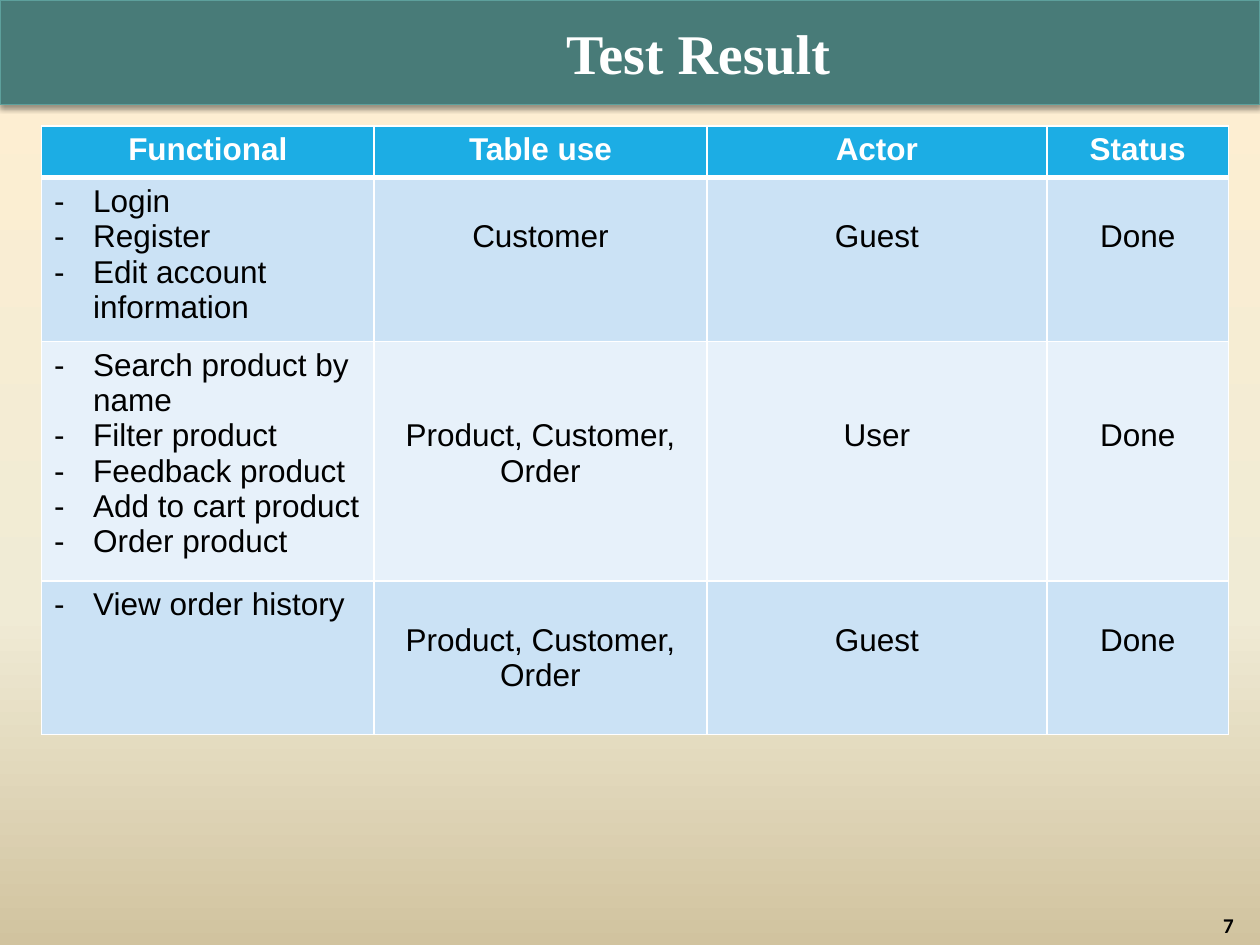
from lxml import etree
from pptx import Presentation
from pptx import util as u
from pptx.dml.color import RGBColor
from pptx.enum import shapes, text
from pptx.oxml import ns, parse_xml

A = ns.nsdecls("a")
COLORS = {"banner": "487B78", "edge": "5DA09C", "white": "FFFFFF", "black": "000000",
          "header": "1CADE4", "band": "CBE2F5", "light": "E7F1FA"}
BACKGROUND = [(0, "FFEFD1"), (65, "F0EBD5"), (100, "D1C39F")]
LINE = 0.28


def rgb(name):
    return RGBColor.from_string(COLORS[name])


def write(tf, lines, size=18, font="Arial", color="black", bold=False,
          align=text.PP_ALIGN.CENTER, bullet=None):
    tf.word_wrap = True
    for i, line in enumerate(lines):
        p = tf.paragraphs[0] if i == 0 else tf.add_paragraph()
        p.alignment = align
        r = p.add_run()
        r.text = line
        r.font.size, r.font.name, r.font.bold = u.Pt(size), font, bold
        r.font.color.rgb = rgb(color)
        if bullet:
            pPr = p._p.get_or_add_pPr()
            indent = u.Inches(0.31)
            pPr.set("marL", str(indent))
            pPr.set("indent", str(-indent))
            pPr.append(parse_xml(f'<a:buFont {A} typeface="{font}"/>'))
            pPr.append(parse_xml(f'<a:buChar {A} char="{bullet}"/>'))


class Deck:
    """Holds the style and the current slide."""

    def __init__(self, width, height):
        self.prs = Presentation()
        self.prs.slide_width, self.prs.slide_height = u.Inches(width), u.Inches(height)
        self.s = self.prs.slides.add_slide(self.prs.slide_layouts[6])

    def background(self, stops):
        fill = self.s.background.fill
        fill.gradient()
        fill.gradient_angle = 270
        gs_list = self.s.element.find(".//" + ns.qn("a:gsLst"))
        for gs in list(gs_list):
            gs_list.remove(gs)
        for pos, color in stops:
            gs = etree.SubElement(gs_list, ns.qn("a:gs"), pos=str(pos * 1000))
            etree.SubElement(gs, ns.qn("a:srgbClr"), val=color)

    def banner(self, *box):
        sp = self.s.shapes.add_shape(shapes.MSO_SHAPE.RECTANGLE, *map(u.Inches, box))
        sp.fill.solid()
        sp.fill.fore_color.rgb = rgb("banner")
        sp.line.color.rgb = rgb("edge")
        sp.line.width = u.Pt(0.75)
        sp._element.spPr.append(parse_xml(
            f'<a:effectLst {A}><a:outerShdw blurRad="{u.Pt(3.1)}" dist="{u.Pt(1.6)}" '
            f'dir="5400000" rotWithShape="0"><a:srgbClr val="{COLORS["black"]}">'
            '<a:alpha val="38000"/></a:srgbClr></a:outerShdw></a:effectLst>'))

    def label(self, line, *box, inset=0.1, **fmt):
        tf = self.s.shapes.add_textbox(*map(u.Inches, box)).text_frame
        tf.vertical_anchor = text.MSO_ANCHOR.MIDDLE
        tf.margin_left = u.Inches(inset)
        write(tf, [line], **fmt)

    def cell(self, cell, lines, fill, top=1, bottom=1, drop=0, **fmt):
        cell.margin_top = u.Inches(0.05 + drop * LINE)
        write(cell.text_frame, lines, **fmt)
        tcPr = cell._tc.get_or_add_tcPr()
        for side, width in zip("LRTB", (1, 1, top, bottom)):
            tcPr.append(parse_xml(
                f'<a:ln{side} {A} w="{u.Pt(width)}"><a:solidFill>'
                f'<a:srgbClr val="{COLORS["white"]}"/></a:solidFill></a:ln{side}>'))
        cell.fill.solid()
        cell.fill.fore_color.rgb = rgb(fill)

    def table(self, left, top, widths, heights, header, rows):
        box = map(u.Inches, (left, top, sum(widths), sum(heights)))
        table = self.s.shapes.add_table(len(heights), len(widths), *box).table
        for col, width in zip(table.columns, widths):
            col.width = u.Inches(width)
        for row, height in zip(table.rows, heights):
            row.height = u.Inches(height)
        for c, title in enumerate(header):
            self.cell(table.cell(0, c), [title], "header", bottom=3, color="white", bold=True)
        for i, (drop, functions, *values) in enumerate(rows, 1):
            style = {"fill": "band" if i % 2 else "light", "top": 3 if i == 1 else 1}
            self.cell(table.cell(i, 0), functions, bullet="-",
                      align=text.PP_ALIGN.LEFT, **style)
            for c, value in enumerate(values, 1):
                self.cell(table.cell(i, c), [value], drop=drop, **style)


deck = Deck(10, 7.5)
deck.background(BACKGROUND)
deck.banner(0, 0, 10, 0.83)
deck.label("7", 0.12, 7.25, 9.77, 0.18, size=12, font="Calibri", bold=True,
           align=text.PP_ALIGN.RIGHT)
deck.table(
    0.33, 1, [2.64, 2.64, 2.7, 1.44], [0.41, 1.22, 1.78, 1.22],
    ["Functional", "Table use", "Actor", "Status"],
    [(1, ["Login", "Register", "Edit account information"], "Customer", "Guest", "Done"),
     (2, ["Search product by name", "Filter product", "Feedback product",
          "Add to cart product", "Order product"],
      "Product, Customer, Order", "User", "Done"),
     (1, ["View order history"], "Product, Customer, Order", "Guest", "Done")])
deck.label("Test Result", 0.33, 0.08, 9.42, 0.67, inset=1.1, size=32,
           font="Times New Roman", color="white", bold=True)
deck.prs.save("out.pptx")
